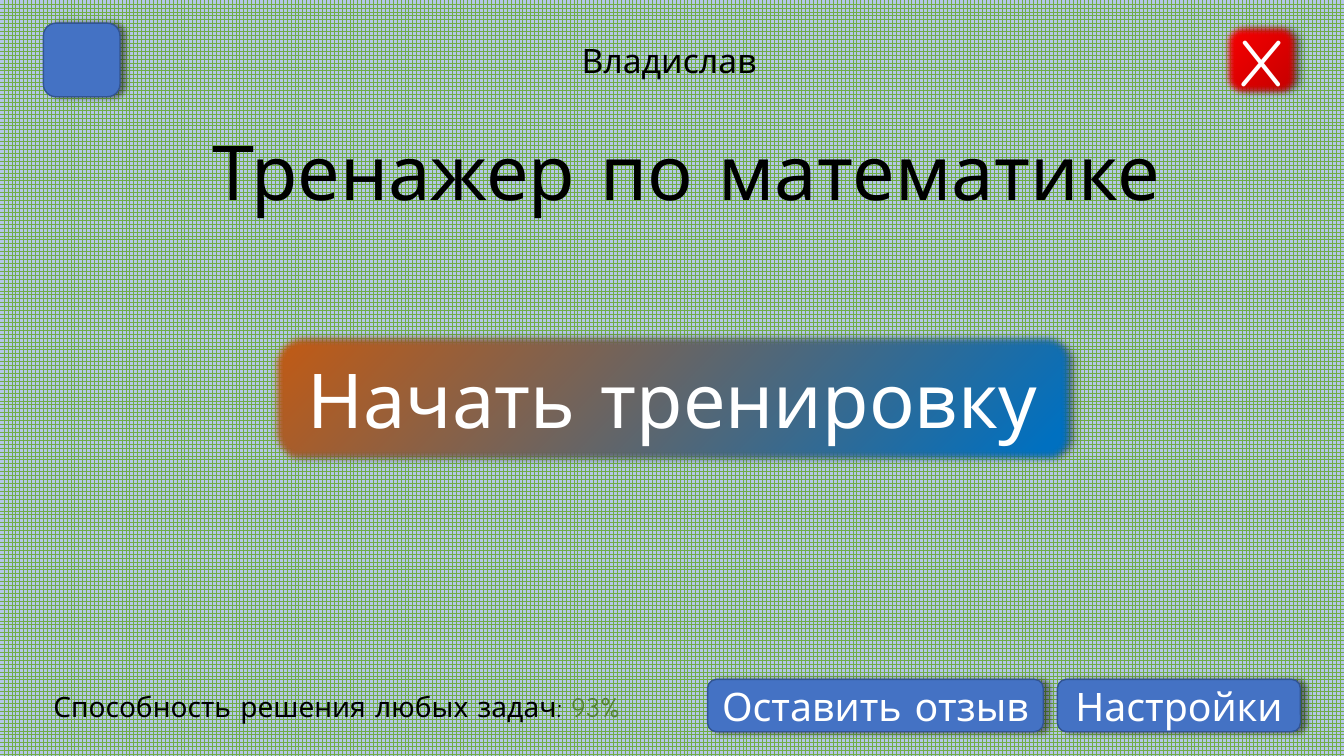
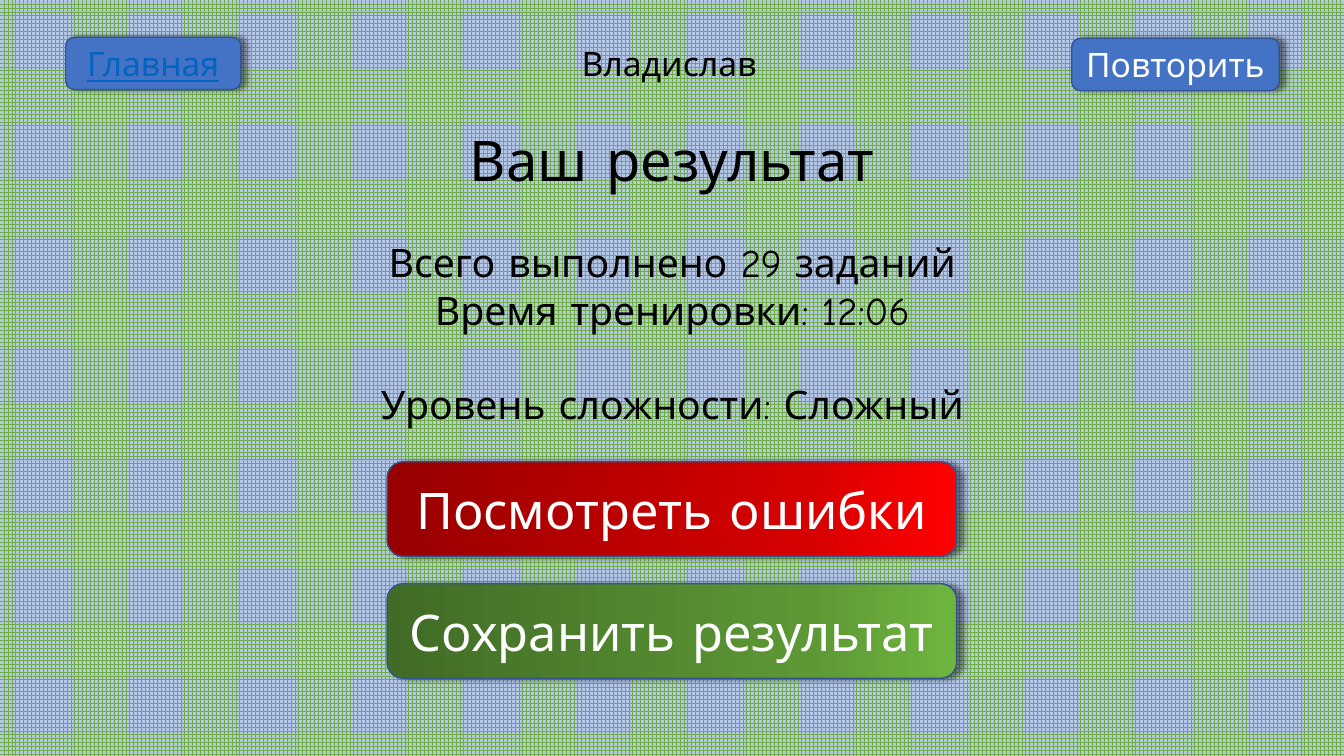
"""Build the start and result screens of a maths trainer."""
from pptx import Presentation
from pptx.dml.color import RGBColor
from pptx.enum.dml import MSO_PATTERN
from pptx.enum.shapes import MSO_SHAPE
from pptx.enum.text import MSO_ANCHOR, MSO_AUTO_SIZE, PP_ALIGN
from pptx.oxml import parse_xml
from pptx.oxml.ns import nsdecls
from pptx.util import Inches, Pt

FONT = "Comic Neue"
BLACK, WHITE, BLUE, EDGE = "000000", "FFFFFF", "4472C4", "325491"
LINEAR = '<a:lin ang="10800000" scaled="0"/>'
RADIAL = '<a:path path="circle"><a:fillToRect l="100000" t="100000"/></a:path>'
rgb = RGBColor.from_string

prs = Presentation()
prs.slide_width, prs.slide_height = Inches(13.33), Inches(7.5)
COL, ROW = prs.slide_width / 100, prs.slide_height / 100

fill = prs.slide_master.background.fill
fill.patterned()
fill.pattern = MSO_PATTERN.LARGE_GRID
fill.fore_color.rgb, fill.back_color.rgb = rgb("70AD47"), rgb("B4C7E7")


def write(sp, cell, lines, size, color=BLACK, align=PP_ALIGN.LEFT, anchor=MSO_ANCHOR.TOP, wrap=True):
    x, y, w, h = cell
    sp.left, sp.top, sp.width, sp.height = int(x * COL), int(y * ROW), int(w * COL), int(h * ROW)
    tf = sp.text_frame
    tf.auto_size, tf.word_wrap, tf.vertical_anchor = MSO_AUTO_SIZE.NONE, wrap, anchor
    tf.text = "\n".join(lines)
    for p in tf.paragraphs:
        p.alignment = align
        p.font.name, p.font.size, p.font.color.rgb = FONT, Pt(size), rgb(color)
    return tf.paragraphs


def button(slide, cell, text="", size=28, stops=None, shade=LINEAR, soft=False, adj=0.17, line=EDGE, color=WHITE):
    sp = slide.shapes.add_shape(MSO_SHAPE.ROUNDED_RECTANGLE, 0, 0, 0, 0)
    sp.adjustments[0] = adj
    ps = write(sp, cell, [text] if text else [], size, color, PP_ALIGN.CENTER, MSO_ANCHOR.MIDDLE, False)
    if stops:
        marks = "".join(f'<a:gs pos="{pos * 1000}"><a:srgbClr val="{c}"/></a:gs>' for pos, c in stops)
        sp._element.spPr.insert(2, parse_xml(
            f'<a:gradFill {nsdecls("a")} rotWithShape="1"><a:gsLst>{marks}</a:gsLst>{shade}</a:gradFill>'))
    else:
        sp.fill.solid()
        sp.fill.fore_color.rgb = rgb(BLUE)
    sp.line.color.rgb, sp.line.width = rgb(line), Pt(1)
    blur = '<a:softEdge rad="63500"/>' if soft else ""
    sp._element.spPr.append(parse_xml(
        f'<a:effectLst {nsdecls("a")}><a:outerShdw blurRad="50800" dist="50800" dir="0" algn="l" rotWithShape="0">'
        f'<a:srgbClr val="{BLACK}"><a:alpha val="43000"/></a:srgbClr></a:outerShdw>{blur}</a:effectLst>'))
    return ps


start, result = [prs.slides.add_slide(prs.slide_layouts[5]) for _ in range(2)]
for s, y in ((start, 4.67), (result, 5.07)):
    write(s.shapes.add_textbox(0, 0, 0, 0), (42.53, y, 14.93, 6.67), ["Владислав"], 24)

write(start.shapes.title, (15.08, 15.87, 78.83, 13.47), ["Тренажер по математике"], 54)
button(start, (20.25, 44.27, 59.55, 16.8), "Начать тренировку", 54,
       [(5, "0070C0"), (100, "C55A11")], RADIAL, True, line="181717")
button(start, (91.05, 3.07, 5.7, 9.73), "X", 48, [(0, "C00000"), (100, "FF0000")], RADIAL, True)
button(start, (3.23, 3.07, 5.7, 9.73))
for x, w, text in ((52.65, 24.98, "Оставить отзыв"), (78.68, 18.08, "Настройки")):
    button(start, (x, 89.87, w, 6.93), text)
p = write(start.shapes.add_textbox(0, 0, 0, 0), (3.23, 90.53, 52.73, 5.87),
          ["Способность решения любых задач: "], 20)[0]
r = p.add_run()
r.text = "93%"
r.font.color.rgb = rgb("548235")

write(result.shapes.title, (4.88, 15.87, 90.3, 9.5), ["Ваш результат"], 40, align=PP_ALIGN.CENTER)
ps = write(result.shapes.add_textbox(0, 0, 0, 0), (4.88, 30.93, 90.3, 26.67),
           ["Всего выполнено 29 заданий", "Время тренировки: 12:06", "Уровень сложности: Сложный"],
           28, align=PP_ALIGN.CENTER)
ps[2].space_before = Pt(33.5)
for y, text, colors in ((61.07, "Посмотреть ошибки", ("FF0000", "D70000", "970000")),
                        (77.2, "Сохранить результат", ("6EB53F", "5D9835", "416B26"))):
    button(result, (28.8, y, 42.38, 12.53), text, 36, list(zip((0, 26, 100), colors)))
home = button(result, (4.88, 4.93, 13.05, 6.93), "Главная", 24, color="0563C1")
home[0].font.underline = True
button(result, (79.73, 5.07, 15.45, 6.93), "Повторить", 24)

prs.save("out.pptx")
